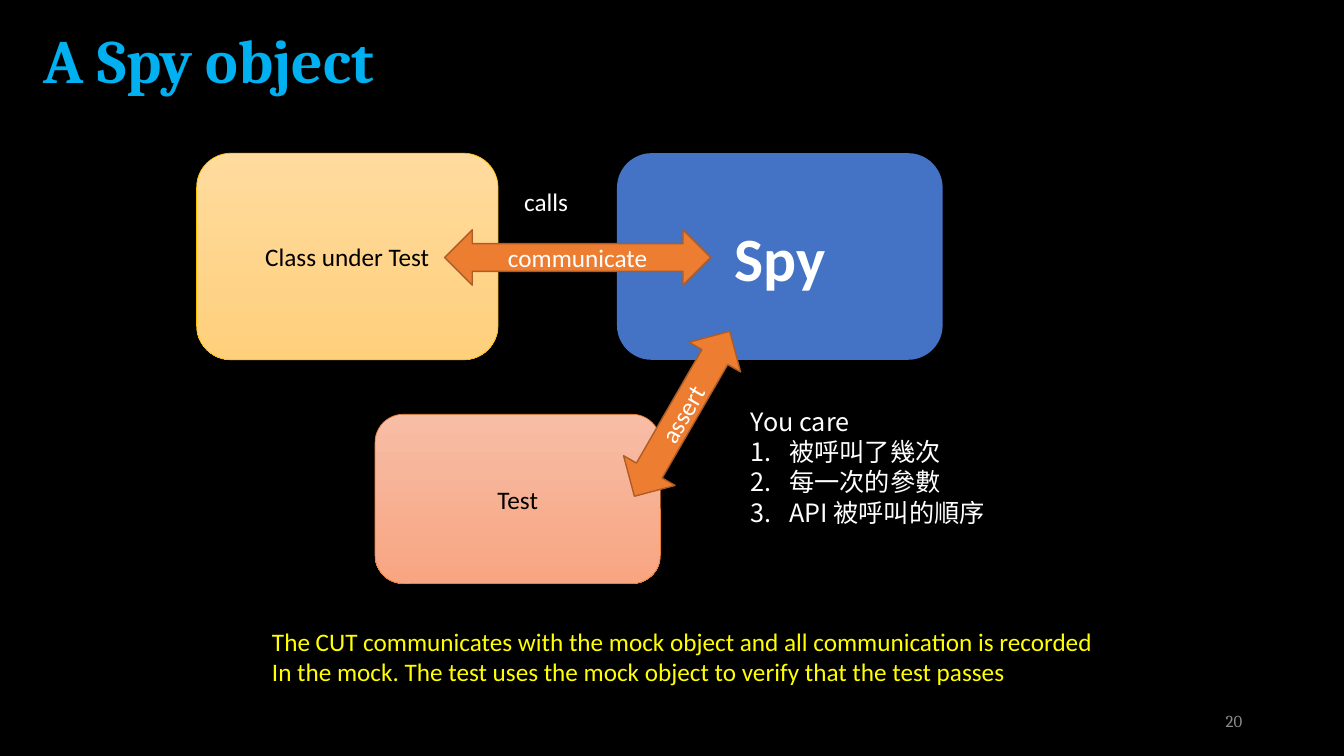
from lxml import etree
from pptx import Presentation
from pptx.dml.color import RGBColor
from pptx.enum.shapes import MSO_SHAPE
from pptx.enum.text import MSO_ANCHOR, PP_ALIGN
from pptx.oxml.ns import qn
from pptx.util import Inches, Pt

ROUND, ARROW = MSO_SHAPE.ROUNDED_RECTANGLE, MSO_SHAPE.LEFT_RIGHT_ARROW
TOP, MID = MSO_ANCHOR.TOP, MSO_ANCHOR.MIDDLE
LEFT, MIDST, RIGHT = PP_ALIGN.LEFT, PP_ALIGN.CENTER, PP_ALIGN.RIGHT

THEME = {
    "back": "000000", "dark": "000000", "light": "FFFFFF", "sky": "00B0F0",
    "note": "FFFF00", "grey": "8C8C8C", "blue": "4472C4", "orange": "ED7D31",
    "rust": "AF5C24", "gold": "FFC000",
    "sand": ("FFDB9E", "FFD07C"), "peach": ("F7BDA5", "F8A582"),
    "body": "Calibri", "head": "Cambria", "han": "Noto Sans CJK SC",
    "big": 44, "text": 18, "small": 12,
}

# SHAPES
NODES = [
    ("Class under Test", ROUND, (14.63, 20.27, 22.43, 27.33), 0, "sand", ("gold", 0.5), "dark", "text"),
    ("Spy", ROUND, (45.91, 20.27, 24.23, 27.33), 0, "blue", None, "light", "big"),
    ("communicate", ARROW, (33.08, 30.4, 19.8, 7.33), 0, "orange", ("rust", 1), "light", "text"),
    ("Test", ROUND, (27.91, 54.8, 21.23, 22.4), 0, "peach", ("orange", 0.5), "dark", "text"),
    ("assert", ARROW, (43.66, 50.8, 14.18, 7.87), -60, "orange", ("rust", 1), "light", "text"),
]
LABELS = [
    (["A Spy object"], (2.48, -1.87, 86.27, 19.33), "head", "big", "sky", LEFT, MID, True),
    (["The CUT communicates with the mock object and all communication is recorded",
      "In the mock. The test uses the mock object to verify that the test passes"],
     (19.5, 82.13, 64.14, 9.47), "body", "text", "note", LEFT, TOP, False),
    (["20"], (70.67, 92.67, 22.5, 5.33), "head", "small", "grey", RIGHT, MID, True),
    (["You care", "1. 被呼叫了幾次", "1. 每一次的參數", "1. API 被呼叫的順序"],
     (55.14, 53.07, 19.5, 17.47), "han", "text", "light", LEFT, TOP, False),
    (["calls"], (38.26, 24, 8.63, 5.33), "body", "text", "light", LEFT, TOP, True),
]
MARK = "1. "

deck = Presentation()
deck.slide_width, deck.slide_height = Inches(13.33), Inches(7.5)
slide = deck.slides.add_slide(deck.slide_layouts[6])


def tint(name):
    return RGBColor.from_string(THEME[name])


def place(box):
    sides = (deck.slide_width, deck.slide_height) * 2
    return [int(part * side / 100) for part, side in zip(box, sides)]


def number(para):
    props = para._p.get_or_add_pPr()
    props.set("marL", str(Inches(0.38)))
    props.set("indent", str(-Inches(0.38)))
    etree.SubElement(props, qn("a:buFont"), typeface="+mj-lt")
    etree.SubElement(props, qn("a:buAutoNum"), type="arabicPeriod")


def write(shape, lines, face, size, color, align, anchor, wrap=True):
    frame = shape.text_frame
    frame.word_wrap, frame.vertical_anchor = wrap, anchor
    look = {"name": THEME[face], "size": Pt(THEME[size]), "bold": size == "big"}
    for i, line in enumerate(lines):
        para = frame.add_paragraph() if i else frame.paragraphs[0]
        para.alignment = align
        if line.startswith(MARK):
            number(para)
        run = para.add_run()
        run.text = line.removeprefix(MARK)
        for key, value in look.items():
            setattr(run.font, key, value)
        run.font.color.rgb = tint(color)
        if face == "han":
            props = run._r.get_or_add_rPr()
            etree.SubElement(props, qn("a:ea"), typeface=THEME[face])


def paint(shape, fill, edge):
    shape.shadow.inherit = False
    if isinstance(THEME[fill], tuple):
        shape.fill.gradient()
        shape.fill.gradient_angle = 270
        for stop, shade in zip(shape.fill.gradient_stops, THEME[fill]):
            stop.color.rgb = RGBColor.from_string(shade)
    else:
        shape.fill.solid()
        shape.fill.fore_color.rgb = tint(fill)
    if edge:
        shape.line.color.rgb = tint(edge[0])
        shape.line.width = Pt(edge[1])
    else:
        shape.line.fill.background()


slide.background.fill.solid()
slide.background.fill.fore_color.rgb = tint("back")
for text, kind, box, turn, fill, edge, color, size in NODES:
    node = slide.shapes.add_shape(kind, *place(box))
    node.rotation = turn
    paint(node, fill, edge)
    write(node, [text], "body", size, color, MIDST, MID)
for lines, box, *style in LABELS:
    write(slide.shapes.add_textbox(*place(box)), lines, *style)

deck.save("out.pptx")
